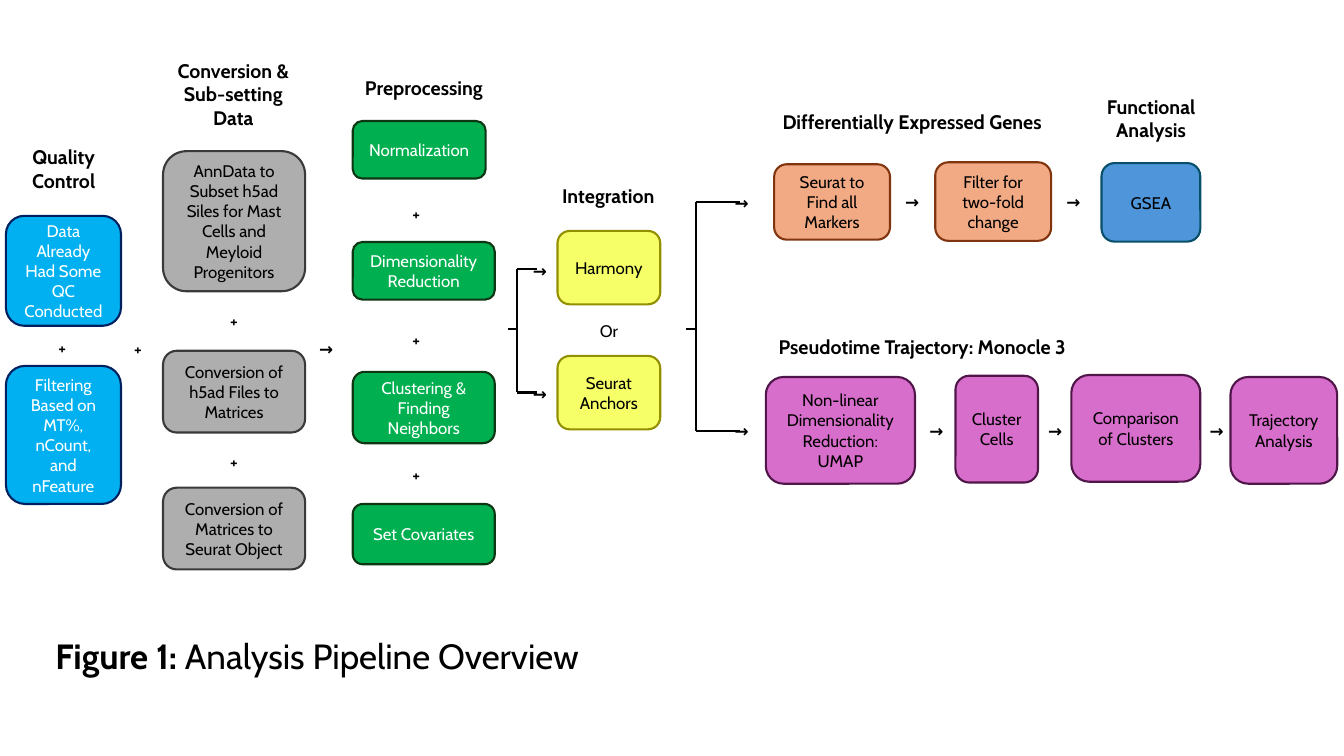
from dataclasses import dataclass

import lxml.etree
import pptx
import pptx.dml.color
import pptx.enum.shapes
import pptx.enum.text
import pptx.oxml.ns
import pptx.presentation
import pptx.slide
import pptx.text.text
import pptx.util

Cm = pptx.util.Cm
ALIGN = pptx.enum.text.PP_ALIGN
ANCHOR = pptx.enum.text.MSO_ANCHOR


@dataclass(frozen=True)
class Palette:
    fill: str
    line: str
    text: str


@dataclass(frozen=True)
class Theme:
    font: str = "Cabin"
    ink: str = "000000"
    body: float = 12
    heading: float = 14
    title: float = 25
    stroke: float = 1.5
    quality: Palette = Palette("00B0F0", "002060", "FFFFFF")
    conversion: Palette = Palette("AEAEAE", "3A3A3A", "000000")
    preprocessing: Palette = Palette("00B050", "0D3612", "FFFFFF")
    integration: Palette = Palette("F6FF67", "929000", "000000")
    genes: Palette = Palette("F2AA84", "80350E", "000000")
    functional: Palette = Palette("4E95D9", "084F6A", "000000")
    trajectory: Palette = Palette("D86ECC", "501649", "000000")


@dataclass(frozen=True)
class Step:
    text: str
    x: float
    y: float
    w: float
    h: float
    palette: Palette


@dataclass(frozen=True)
class Label:
    text: str
    x: float
    y: float
    w: float
    h: float
    size: float
    bold: bool = True


@dataclass(frozen=True)
class Bracket:
    stub: float
    stem: float
    tip: float
    top: float
    middle: float
    bottom: float


THEME = Theme()

STEPS = [
    Step("Data Already Had Some QC Conducted", 0.15, 5.44, 2.9, 2.77, THEME.quality),
    Step("Filtering Based on MT%, nCount, and nFeature", 0.15, 9.22, 2.9, 3.48, THEME.quality),
    Step("AnnData to Subset h5ad Siles for Mast Cells and Meyloid Progenitors",
         4.11, 3.81, 3.58, 3.53, THEME.conversion),
    Step("Conversion of h5ad Files to Matrices", 4.11, 8.84, 3.58, 2.06, THEME.conversion),
    Step("Conversion of Matrices to Seurat Object", 4.11, 12.29, 3.58, 2.06, THEME.conversion),
    Step("Normalization", 8.89, 3.05, 3.35, 1.45, THEME.preprocessing),
    Step("Dimensionality Reduction", 8.89, 6.1, 3.58, 1.45, THEME.preprocessing),
    Step("Clustering & Finding Neighbors", 8.89, 9.37, 3.58, 1.8, THEME.preprocessing),
    Step("Set Covariates", 8.89, 12.7, 3.58, 1.52, THEME.preprocessing),
    Step("Harmony", 14.05, 5.82, 2.59, 1.85, THEME.integration),
    Step("Seurat Anchors", 14.05, 8.97, 2.59, 1.85, THEME.integration),
    Step("Seurat to Find all Markers", 19.51, 4.14, 2.92, 1.9, THEME.genes),
    Step("Filter for two-fold change", 23.57, 4.09, 2.92, 1.98, THEME.genes),
    Step("GSEA", 27.76, 4.11, 2.49, 1.98, THEME.functional),
    Step("Non-linear Dimensionality Reduction: UMAP", 19.3, 9.5, 3.76, 2.69, THEME.trajectory),
    Step("Cluster Cells", 24.08, 9.47, 2.08, 2.69, THEME.trajectory),
    Step("Comparison of Clusters", 27, 9.45, 3.25, 2.69, THEME.trajectory),
    Step("Trajectory Analysis", 31.01, 9.5, 2.69, 2.69, THEME.trajectory),
]

LABELS = [
    Label("Quality Control", 0.41, 3.53, 2.39, 1.45, THEME.heading),
    Label("Conversion & Sub-setting Data", 3.96, 1.35, 3.84, 2.06, THEME.heading),
    Label("Preprocessing", 8.74, 1.8, 3.89, 0.86, THEME.heading),
    Label("Integration", 13.77, 4.5, 3.12, 0.86, THEME.heading),
    Label("Differentially Expressed Genes", 19.18, 2.64, 7.62, 0.86, THEME.heading),
    Label("Functional Analysis", 27.23, 2.26, 3.56, 1.37, THEME.heading),
    Label("Pseudotime Trajectory: Monocle 3", 19.18, 8.31, 8.13, 0.76, THEME.heading),
    Label("Or", 14.05, 7.95, 2.59, 0.69, THEME.body, False),
]

MARK_WIDTH, MARK_HEIGHT = 0.9, 0.69
MARKS = {
    "+": [(1.57, 8.38), (3.48, 8.4), (5.9, 7.7), (5.9, 11.25),
          (10.49, 5), (10.49, 8.18), (10.49, 11.58)],
    "→": [(8.22, 8.4), (13.61, 6.45), (13.61, 9.55),
          (18.69, 4.72), (22.99, 4.7), (27.05, 4.7),
          (18.69, 10.48), (23.6, 10.48), (26.59, 10.48), (30.66, 10.48)],
}

BRACKETS = [
    Bracket(12.8, 13.03, 13.54, 6.78, 8.28, 9.89),
    Bracket(17.3, 17.53, 18.65, 5.08, 8.28, 10.85),
]


def rgb(value: str) -> pptx.dml.color.RGBColor:
    return pptx.dml.color.RGBColor.from_string(value)


def format_run(r: pptx.text.text._Run, size: float, color: str, bold: bool) -> None:
    r.font.name = THEME.font
    r.font.size = pptx.util.Pt(size)
    r.font.bold = bold
    r.font.color.rgb = rgb(color)


def set_text(tf: pptx.text.text.TextFrame, text: str, size: float, color: str, bold: bool) -> None:
    tf.word_wrap = True
    tf.text = text
    p = tf.paragraphs[0]
    p.alignment = ALIGN.CENTER
    format_run(p.runs[0], size, color, bold)


def draw_step(s: pptx.slide.Slide, step: Step) -> None:
    sp = s.shapes.add_shape(pptx.enum.shapes.MSO_SHAPE.ROUNDED_RECTANGLE,
                            Cm(step.x), Cm(step.y), Cm(step.w), Cm(step.h))
    sp.shadow.inherit = False
    sp.fill.solid()
    sp.fill.fore_color.rgb = rgb(step.palette.fill)
    sp.line.color.rgb = rgb(step.palette.line)
    sp.line.width = pptx.util.Pt(THEME.stroke)
    sp.text_frame.vertical_anchor = ANCHOR.MIDDLE
    set_text(sp.text_frame, step.text, THEME.body, step.palette.text, False)


def draw_label(s: pptx.slide.Slide, label: Label) -> None:
    sp = s.shapes.add_textbox(Cm(label.x), Cm(label.y), Cm(label.w), Cm(label.h))
    set_text(sp.text_frame, label.text, label.size, THEME.ink, label.bold)


def draw_line(s: pptx.slide.Slide, x1: float, y1: float, x2: float, y2: float) -> None:
    sp = s.shapes.add_connector(pptx.enum.shapes.MSO_CONNECTOR.STRAIGHT,
                                Cm(x1), Cm(y1), Cm(x2), Cm(y2))
    sp.line.color.rgb = rgb(THEME.ink)
    sp.line.width = pptx.util.Pt(THEME.stroke)
    lxml.etree.SubElement(sp._element.spPr, pptx.oxml.ns.qn("a:effectLst"))


def draw_bracket(s: pptx.slide.Slide, b: Bracket) -> None:
    draw_line(s, b.stub, b.middle, b.stem, b.middle)
    draw_line(s, b.stem, b.top, b.stem, b.bottom)
    for y in (b.top, b.bottom):
        draw_line(s, b.stem, y, b.tip, y)


def draw_title(s: pptx.slide.Slide) -> None:
    sp = s.shapes.title
    sp.left, sp.top, sp.width, sp.height = Cm(1.14), Cm(15.85), Cm(14.33), Cm(1.32)
    tf = sp.text_frame
    tf.word_wrap = True
    tf.auto_size = pptx.enum.text.MSO_AUTO_SIZE.NONE
    tf.vertical_anchor = ANCHOR.TOP
    p = tf.paragraphs[0]
    p.alignment = ALIGN.LEFT
    for text, bold in (("Figure 1: ", True), ("Analysis Pipeline Overview", False)):
        r = p.add_run()
        r.text = text
        format_run(r, THEME.title, THEME.ink, bold)


def main() -> None:
    prs = pptx.Presentation()
    prs.slide_width, prs.slide_height = Cm(33.87), Cm(19.05)
    s = prs.slides.add_slide(prs.slide_layouts[5])
    draw_title(s)
    for step in STEPS:
        draw_step(s, step)
    for label in LABELS:
        draw_label(s, label)
    for bracket in BRACKETS:
        draw_bracket(s, bracket)
    for symbol, places in MARKS.items():
        for center, top in places:
            draw_label(s, Label(symbol, center - MARK_WIDTH / 2, top,
                                MARK_WIDTH, MARK_HEIGHT, THEME.body))
    prs.save("out.pptx")


if __name__ == "__main__":
    main()
